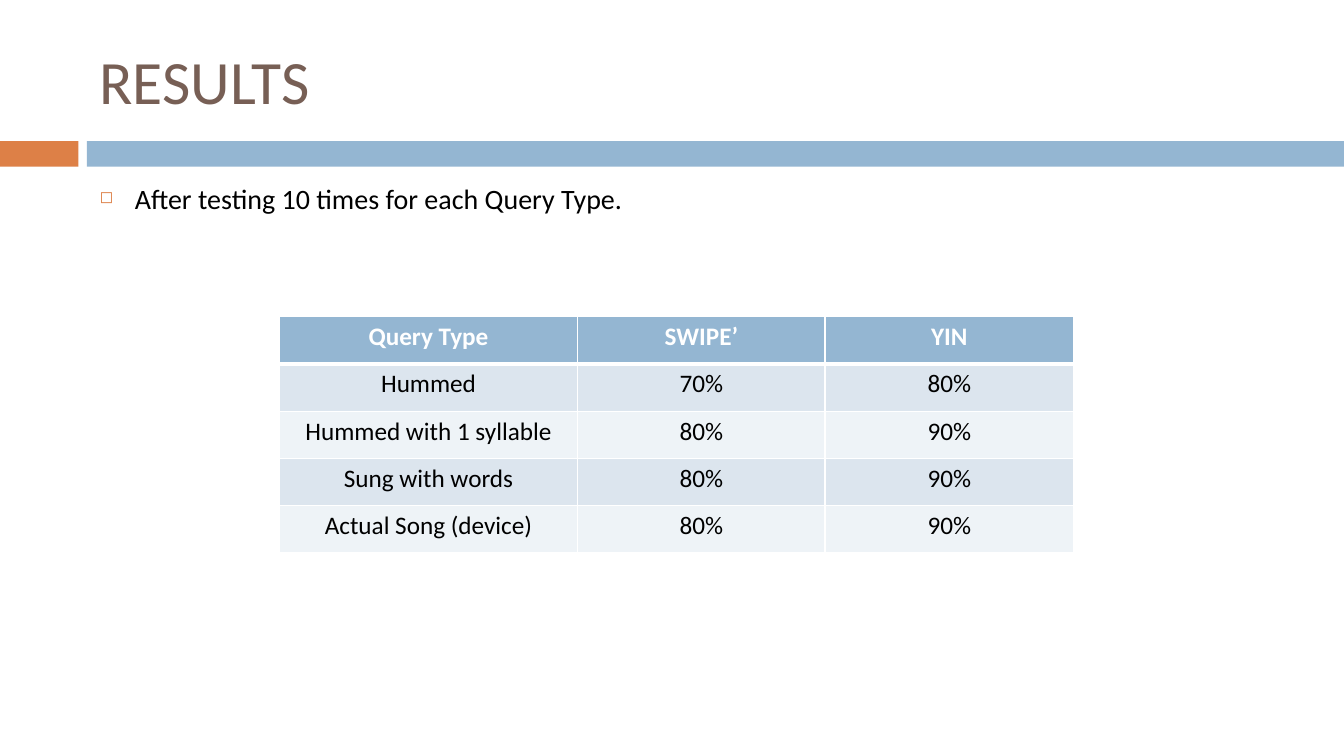
from lxml import etree
from pptx import Presentation
from pptx.dml.color import RGBColor
from pptx.enum import shapes, text
from pptx.oxml import ns
from pptx.util import Cm, Pt

ORANGE = RGBColor(0xDD, 0x80, 0x47)
BLUE = RGBColor(0x94, 0xB6, 0xD2)
BROWN = RGBColor(0x77, 0x5F, 0x55)
WHITE = RGBColor(0xFF, 0xFF, 0xFF)
BLACK = RGBColor(0, 0, 0)
BANDS = RGBColor(0xDC, 0xE5, 0xEE), RGBColor(0xEE, 0xF3, 0xF7)

ROWS = [
    ("Query Type", "SWIPE’", "YIN"),
    ("Hummed", "70%", "80%"),
    ("Hummed with 1 syllable", "80%", "90%"),
    ("Sung with words", "80%", "90%"),
    ("Actual Song (device)", "80%", "90%"),
]
WIDTHS = 7.52, 6.23, 6.27
HEIGHT = 1.19


def add_sub(parent, tag, **attrs):
    """Append a drawing element and return it."""
    return etree.SubElement(parent, ns.qn("a:" + tag), attrs)


def add_bar(slide, left, width, color):
    """Draw one part of the band under the title."""
    bar = slide.shapes.add_shape(
        shapes.MSO_SHAPE.RECTANGLE, Cm(left), Cm(3.56), Cm(width), Cm(0.64))
    bar.shadow.inherit = False
    bar.fill.solid()
    bar.fill.fore_color.rgb = color
    bar.line.fill.background()


def style(para, size, color, bold=False):
    """Format the runs of a paragraph."""
    for run in para.runs:
        font = run.font
        font.name, font.size, font.bold = "Calibri", Pt(size), bold
        font.color.rgb = color


def add_text(slide, top, height, words, size, color, anchor):
    """Add a wrapped text box and return its paragraph."""
    box = slide.shapes.add_textbox(Cm(2.26), Cm(top), Cm(30.2), Cm(height))
    frame = box.text_frame
    frame.word_wrap = True
    frame.vertical_anchor = anchor
    frame.text = words
    para = frame.paragraphs[0]
    style(para, size, color)
    return para


def add_bullet(para):
    """Give a paragraph a small square bullet."""
    para.space_before = Pt(7)
    props = para._p.get_or_add_pPr()
    props.set("marL", str(Cm(0.89)))
    props.set("indent", str(-Cm(0.89)))
    add_sub(add_sub(props, "buClr"), "srgbClr", val=str(ORANGE))
    add_sub(props, "buSzPct", val="60000")
    add_sub(props, "buChar", char="◻")


def add_edges(cell, top, bottom):
    """Draw white borders around a cell."""
    props = cell._tc.get_or_add_tcPr()
    for side, width in zip("LRTB", (1, 1, top, bottom)):
        edge = add_sub(props, "ln" + side, w=str(Pt(width)))
        add_sub(add_sub(edge, "solidFill"), "srgbClr", val=str(WHITE))


def add_grid(slide):
    """Add the table of results."""
    grid = slide.shapes.add_table(
        len(ROWS), len(WIDTHS), Cm(7.04), Cm(7.98),
        Cm(sum(WIDTHS)), Cm(HEIGHT * len(ROWS))).table
    for col, width in zip(grid.columns, WIDTHS):
        col.width = Cm(width)
    for i, row in enumerate(ROWS):
        grid.rows[i].height = Cm(HEIGHT)
        head = i == 0
        for j, words in enumerate(row):
            cell = grid.cell(i, j)
            add_edges(cell, 3 if i == 1 else 1, 3 if head else 1)
            cell.fill.solid()
            cell.fill.fore_color.rgb = BLUE if head else BANDS[(i - 1) % 2]
            cell.text_frame.text = words
            para = cell.text_frame.paragraphs[0]
            para.alignment = text.PP_ALIGN.CENTER
            style(para, 18, WHITE if head else BLACK, head)


def main():
    """Build the results slide."""
    deck = Presentation()
    deck.slide_width, deck.slide_height = Cm(33.87), Cm(19.05)
    slide = deck.slides.add_slide(deck.slide_layouts[6])
    add_bar(slide, 0, 1.98, ORANGE)
    add_bar(slide, 2.19, 31.68, BLUE)
    add_text(slide, 0.64, 2.74, "RESULTS", 44, BROWN, text.MSO_ANCHOR.MIDDLE)
    note = add_text(slide, 4.45, 12.5, "After testing 10 times for each Query Type.",
                    20, BLACK, text.MSO_ANCHOR.TOP)
    add_bullet(note)
    add_grid(slide)
    deck.save("out.pptx")


if __name__ == "__main__":
    main()
